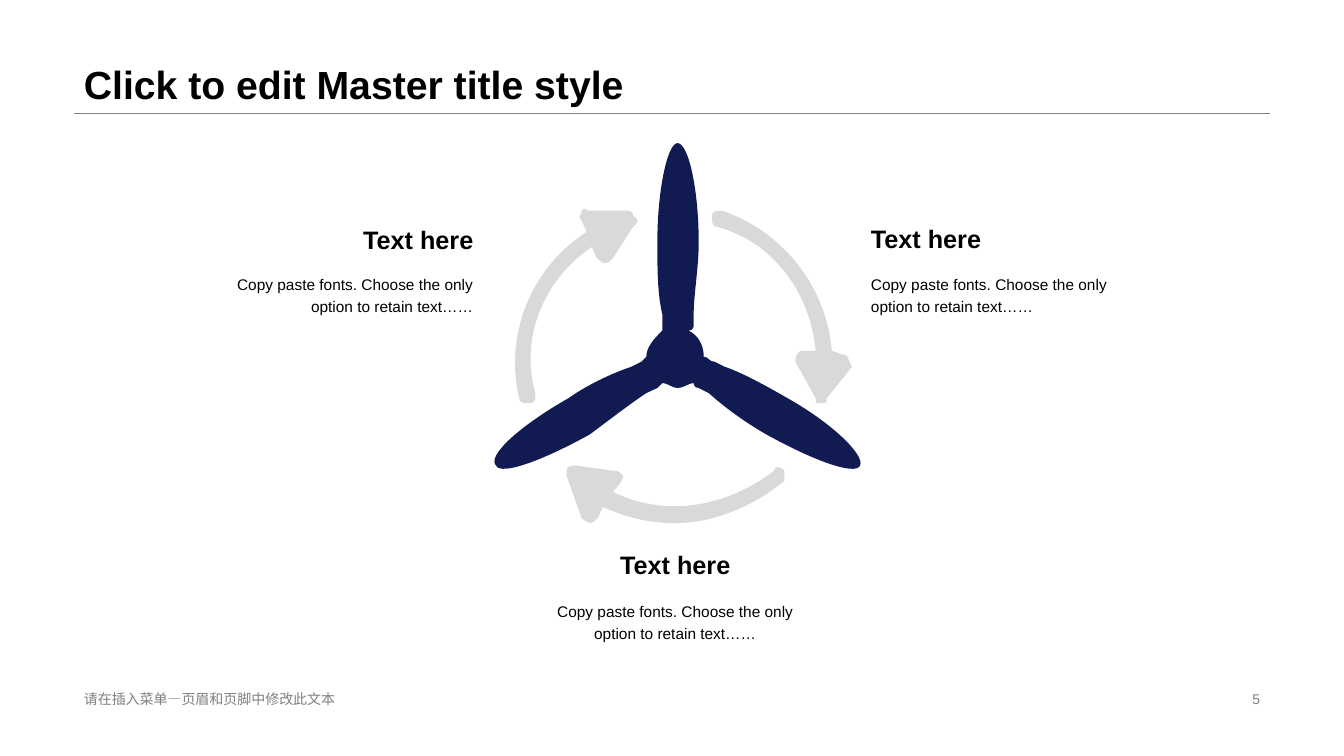
from dataclasses import dataclass

import lxml.etree
import pptx
import pptx.dml.color
import pptx.enum.shapes
import pptx.enum.text
import pptx.oxml.ns
import pptx.util

ALIGN = pptx.enum.text.PP_ALIGN
ANCHOR = pptx.enum.text.MSO_ANCHOR
COLUMNS, ROWS = 1333, 750
CELL = pptx.util.Inches(0.01)


@dataclass(frozen=True)
class Theme:
    font: str = "Arial"
    black: str = "000000"
    gray: str = "808080"
    navy: str = "111A51"
    silver: str = "D9D9D9"
    title: int = 28
    heading: int = 18
    body: int = 11
    footer: int = 10
    rule: float = 0.25


THEME = Theme()
MARGIN, CONTENT_WIDTH, TITLE_BOTTOM = 73.4, 1186.2, 112
FOOTER_TOP, FOOTER_HEIGHT, FOOTER_WIDTH, NUMBER_WIDTH = 682, 23, 453, 318
CAPTION_WIDTH, HEADING_HEIGHT, BODY_HEIGHT = 286, 56, 66
HEADING = "Text here"
BODY = "Copy paste fonts. Choose the only option to retain text……"
CAPTIONS = [
    (193.4, 209.6, 264.6, ALIGN.RIGHT),
    (526.8, 532, 588.4, ALIGN.CENTER),
    (854, 209, 264.4, ALIGN.LEFT),
]

PROPELLER = [
    (853, 462),
    (858, 452, 827, 421, 781, 395), (755, 380, 734, 369, 719, 364),
    (709, 359), (703, 359, 703, 354, 698, 354),
    (698, 343, 693, 333, 683, 328), (688, 328, 688, 323, 688, 323),
    (688, 312), (688, 292, 693, 266, 693, 240),
    (693, 189, 683, 142, 672, 142), (662, 142, 652, 189, 652, 240),
    (652, 266, 652, 292, 657, 312), (657, 323),
    (657, 323, 657, 328, 657, 328), (652, 333, 641, 343, 641, 354),
    (641, 354, 636, 359, 636, 359), (626, 364),
    (611, 369, 585, 380, 564, 395), (518, 421, 482, 452, 492, 462),
    (497, 472, 538, 457, 585, 431), (605, 416, 626, 400, 641, 390),
    (652, 385), (652, 385, 657, 380, 657, 380),
    (662, 380, 667, 385, 672, 385), (678, 385, 683, 380, 688, 380),
    (688, 380, 688, 385, 693, 385), (703, 390),
    (714, 400, 734, 416, 760, 431), (807, 457, 848, 472, 853, 462),
]
CYCLE_ARROWS = [
    [
        (840, 353), (825, 348), (820, 286, 778, 230, 716, 209),
        (711, 209, 706, 209, 706, 214), (706, 219, 706, 225, 711, 225),
        (768, 240, 804, 292, 809, 348), (799, 348), (794, 348),
        (789, 353, 789, 353, 789, 359), (809, 395),
        (809, 400, 809, 400, 814, 400), (820, 400, 820, 400, 820, 395),
        (845, 364),
    ],
    [
        (768, 467), (721, 503, 660, 514, 608, 488), (613, 482),
        (618, 477, 618, 472, 618, 472), (613, 467, 613, 467, 608, 467),
        (572, 462), (567, 462, 562, 462, 562, 467),
        (562, 467, 562, 472, 562, 472), (577, 514),
        (577, 514, 582, 519, 587, 519), (587, 519, 593, 514, 593, 514),
        (598, 503), (623, 514, 644, 519, 670, 519),
        (706, 519, 747, 503, 778, 477), (778, 472, 778, 467, 778, 467),
        (773, 462, 768, 462, 768, 467),
    ],
    [
        (521, 400), (526, 400), (531, 400, 531, 395, 531, 390),
        (515, 333, 541, 276, 587, 245), (592, 256),
        (592, 256, 598, 261, 598, 261), (603, 261, 603, 261, 608, 256),
        (628, 225), (634, 219, 634, 219, 628, 214),
        (628, 214, 628, 209, 623, 209), (582, 209),
        (582, 204, 577, 209, 577, 209), (577, 214, 572, 214, 577, 219),
        (582, 230), (526, 266, 500, 333, 515, 395),
        (515, 400, 521, 400, 521, 400),
    ],
]


def rgb(color):
    return pptx.dml.color.RGBColor.from_string(color)


def cells(*lengths):
    return [round(length * CELL) for length in lengths]


def curve_segments(shape, segments, left, top):
    lines = list(shape._element.iter(pptx.oxml.ns.qn("a:lnTo")))
    for line, segment in zip(lines, segments):
        if len(segment) == 2:
            continue
        line.tag = pptx.oxml.ns.qn("a:cubicBezTo")
        for index in (0, 2):
            control = lxml.etree.Element(pptx.oxml.ns.qn("a:pt"))
            control.set("x", str(segment[index] - left))
            control.set("y", str(segment[index + 1] - top))
            line.insert(index // 2, control)


def add_outline(slide, segments, color):
    corners = [segment[-2:] for segment in segments]
    builder = slide.shapes.build_freeform(*corners[0], scale=CELL)
    builder.add_line_segments(corners[1:], close=True)
    shape = builder.convert_to_shape()
    left, top = (min(values) for values in zip(*corners))
    curve_segments(shape, segments[1:], left, top)
    shape.shadow.inherit = False
    shape.fill.solid()
    shape.fill.fore_color.rgb = rgb(color)
    shape.line.fill.background()


def add_text(slide, text, box, size, color=THEME.black, bold=False,
             align=ALIGN.LEFT, anchor=ANCHOR.MIDDLE, spacing=1.0):
    text_frame = slide.shapes.add_textbox(*cells(*box)).text_frame
    text_frame.word_wrap = True
    text_frame.vertical_anchor = anchor
    text_frame.text = text
    paragraph = text_frame.paragraphs[0]
    paragraph.alignment = align
    paragraph.line_spacing = spacing
    font = paragraph.runs[0].font
    font.name = THEME.font
    font.size = pptx.util.Pt(size)
    font.bold = bold
    font.color.rgb = rgb(color)


def add_rule(slide, left, right, top):
    connector = slide.shapes.add_connector(
        pptx.enum.shapes.MSO_CONNECTOR.STRAIGHT, *cells(left, top, right, top))
    connector.line.color.rgb = rgb(THEME.gray)
    connector.line.width = pptx.util.Pt(THEME.rule)
    lxml.etree.SubElement(connector._element.spPr, pptx.oxml.ns.qn("a:effectLst"))


def add_caption(slide, left, heading_top, body_top, align):
    add_text(slide, BODY, (left, body_top, CAPTION_WIDTH, BODY_HEIGHT),
             THEME.body, align=align, anchor=ANCHOR.TOP, spacing=1.2)
    add_text(slide, HEADING, (left, heading_top, CAPTION_WIDTH, HEADING_HEIGHT),
             THEME.heading, bold=True, align=align)


def main():
    presentation = pptx.Presentation()
    presentation.slide_width, presentation.slide_height = cells(COLUMNS, ROWS)
    slide = presentation.slides.add_slide(presentation.slide_layouts[6])
    right = MARGIN + CONTENT_WIDTH

    add_rule(slide, MARGIN, right, TITLE_BOTTOM)
    add_text(slide, "Click to edit Master title style", (MARGIN, 0, CONTENT_WIDTH, TITLE_BOTTOM),
             THEME.title, bold=True, anchor=ANCHOR.BOTTOM, spacing=0.9)
    add_text(slide, "请在插入菜单—页眉和页脚中修改此文本",
             (MARGIN, FOOTER_TOP, FOOTER_WIDTH, FOOTER_HEIGHT), THEME.footer, THEME.gray)
    add_text(slide, "5", (right - NUMBER_WIDTH, FOOTER_TOP, NUMBER_WIDTH, FOOTER_HEIGHT),
             THEME.footer, THEME.gray, align=ALIGN.RIGHT)

    add_outline(slide, PROPELLER, THEME.navy)
    for arrow in CYCLE_ARROWS:
        add_outline(slide, arrow, THEME.silver)
    for caption in CAPTIONS:
        add_caption(slide, *caption)

    presentation.save("out.pptx")


if __name__ == "__main__":
    main()
